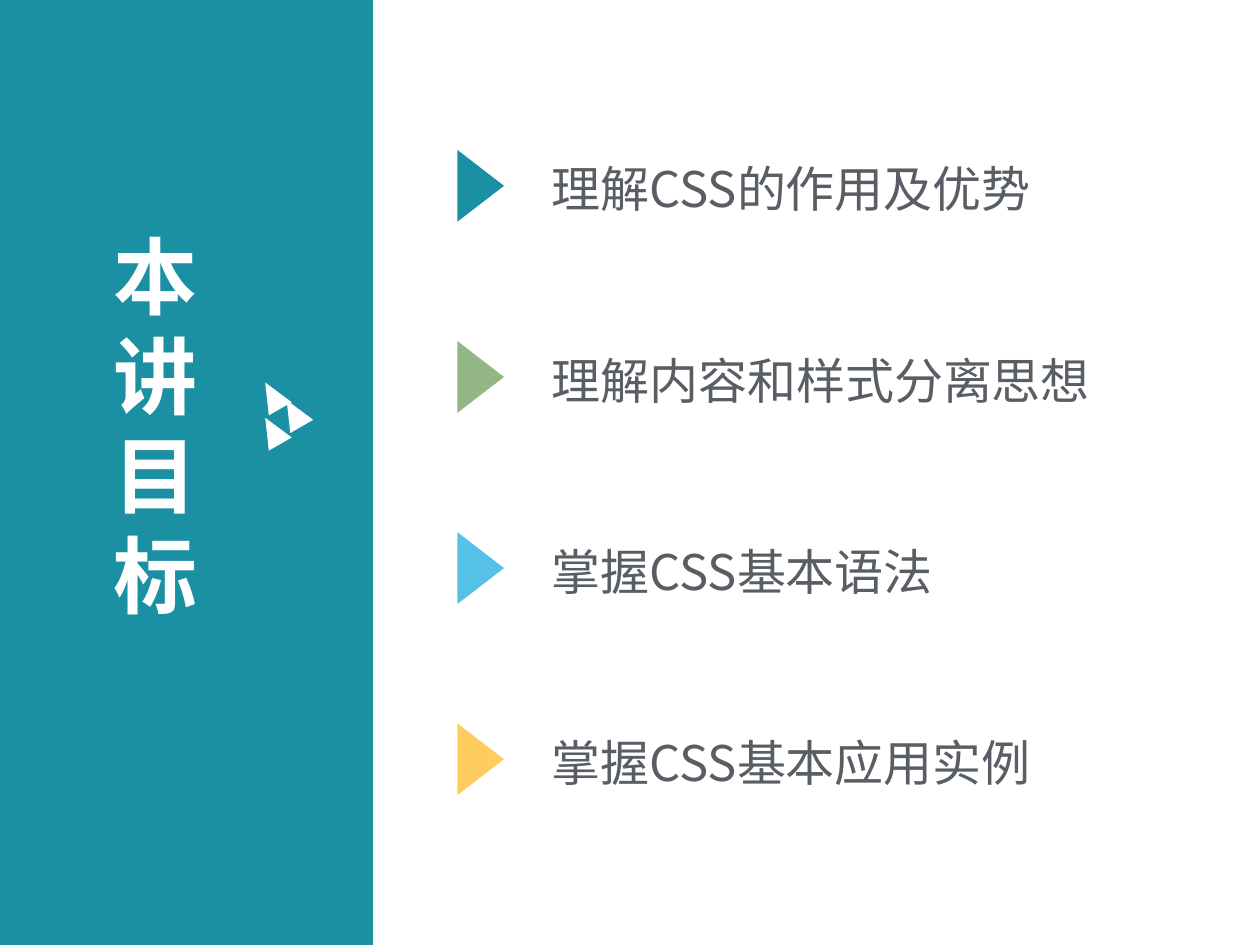
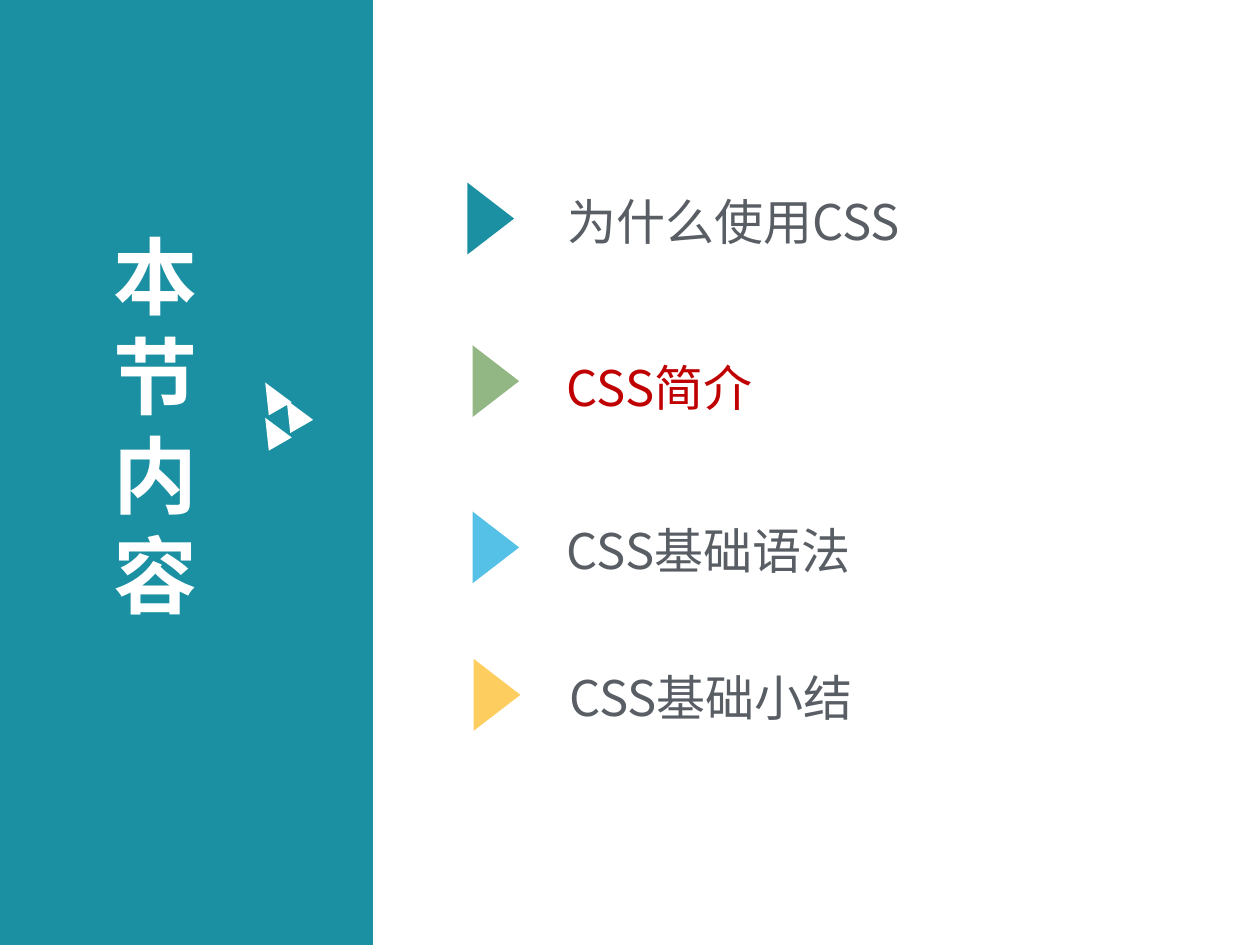
"""Builds two CSS lesson slides: the goals and the contents."""
from lxml import etree
from pptx import Presentation
from pptx import util as u
from pptx.dml.color import RGBColor
from pptx.enum import shapes, text
from pptx.oxml.ns import qn

TEAL = RGBColor(0x1B, 0x90, 0xA2)
GREEN = RGBColor(0x93, 0xB7, 0x84)
SKY = RGBColor(0x55, 0xC1, 0xE7)
GOLD = RGBColor(0xFD, 0xCD, 0x5F)
GREY = RGBColor(0x59, 0x5E, 0x64)
RED = RGBColor(0xC0, 0x00, 0x00)
WHITE = RGBColor(0xFF, 0xFF, 0xFF)
HUES = (TEAL, GREEN, SKY, GOLD)
FONT = "Noto Sans CJK SC"
COLS, ROWS = 100, 75


class Deck:
    """Holds the style and the current slide; lengths are grid columns and rows."""

    def __init__(self):
        self.prs = Presentation()
        self.prs.slide_width = u.Inches(10)
        self.prs.slide_height = u.Inches(7.5)
        self.slide = None

    def box(self, left, top, wide, high):
        col = self.prs.slide_width / COLS
        row = self.prs.slide_height / ROWS
        return [round(n) for n in (left * col, top * row, wide * col, high * row)]

    def shape(self, kind, box, fill, turn=0, home=None):
        item = (home or self.slide).shapes.add_shape(kind, *self.box(*box))
        item.shadow.inherit = False
        item.fill.solid()
        item.fill.fore_color.rgb = fill
        item.line.fill.background()
        item.rotation = turn
        return item

    def label(self, frame, words, size, color, pitch, inset, bold=False):
        frame.word_wrap = True
        frame.auto_size = text.MSO_AUTO_SIZE.NONE
        frame.vertical_anchor = text.MSO_ANCHOR.TOP
        frame.margin_left = frame.margin_right = u.Inches(0.1)
        frame.margin_top = u.Inches(inset)
        frame.margin_bottom = 0
        para = frame.paragraphs[0]
        para.alignment = text.PP_ALIGN.LEFT
        para.line_spacing = u.Pt(pitch)
        run = para.add_run()
        run.text = words
        font = run.font
        font.name, font.size, font.bold = FONT, u.Pt(size), bold
        font.color.rgb = color
        asian = etree.SubElement(run._r.get_or_add_rPr(), qn("a:ea"))
        asian.set("typeface", FONT)

    def mark(self):
        group = self.slide.shapes.add_group_shape()
        for left, top in ((20.6, 30.2), (20.6, 33), (22.3, 31.6)):
            self.shape(shapes.MSO_SHAPE.ISOSCELES_TRIANGLE,
                       (left, top, 2.1, 2.4), WHITE, 330.2, group)

    def page(self, title):
        self.slide = self.prs.slides.add_slide(self.prs.slide_layouts[5])
        band = self.shape(shapes.MSO_SHAPE.RECTANGLE, (0, 0, 29.6, ROWS), TEAL)
        head = self.slide.shapes.title
        head.element.addprevious(band.element)
        head.left, head.top, head.width, head.height = self.box(8, 16.8, 13.1, 33.3)
        self.label(head.text_frame, title, 48, WHITE, 57, 0.11, True)
        self.mark()

    def point(self, words, hue, arrow, place, wide, color=GREY):
        self.shape(shapes.MSO_SHAPE.ISOSCELES_TRIANGLE, (*arrow, 5.7, 3.7), hue, 90)
        area = self.slide.shapes.add_textbox(*self.box(*place, wide, 5.7))
        self.label(area.text_frame, words, 28, color, 33, 0.08)

    def save(self):
        self.prs.save("out.pptx")


def main():
    deck = Deck()

    deck.page("本讲目标")
    goals = (("理解CSS的作用及优势", 43.2), ("理解内容和样式分离思想", 49.4),
             ("掌握CSS基本语法", 51.5), ("掌握CSS基本应用实例", 41.2))
    for row, (hue, (words, wide)) in enumerate(zip(HUES, goals)):
        top = 11.9 + 15.17 * row
        deck.point(words, hue, (35.3, top + 1), (42.8, top), wide)

    deck.page("本节内容")
    parts = (("为什么使用CSS", (36.1, 15.5), (44.1, 14.5), 30, GREY),
             ("CSS简介", (36.5, 28.4), (44, 27.7), 33, RED),
             ("CSS基础语法", (36.5, 41.6), (44, 40.6), 47.2, GREY),
             ("CSS基础小结", (36.6, 53.3), (44.2, 52.3), 38.6, GREY))
    for hue, (words, *rest) in zip(HUES, parts):
        deck.point(words, hue, *rest)

    deck.save()


if __name__ == "__main__":
    main()
